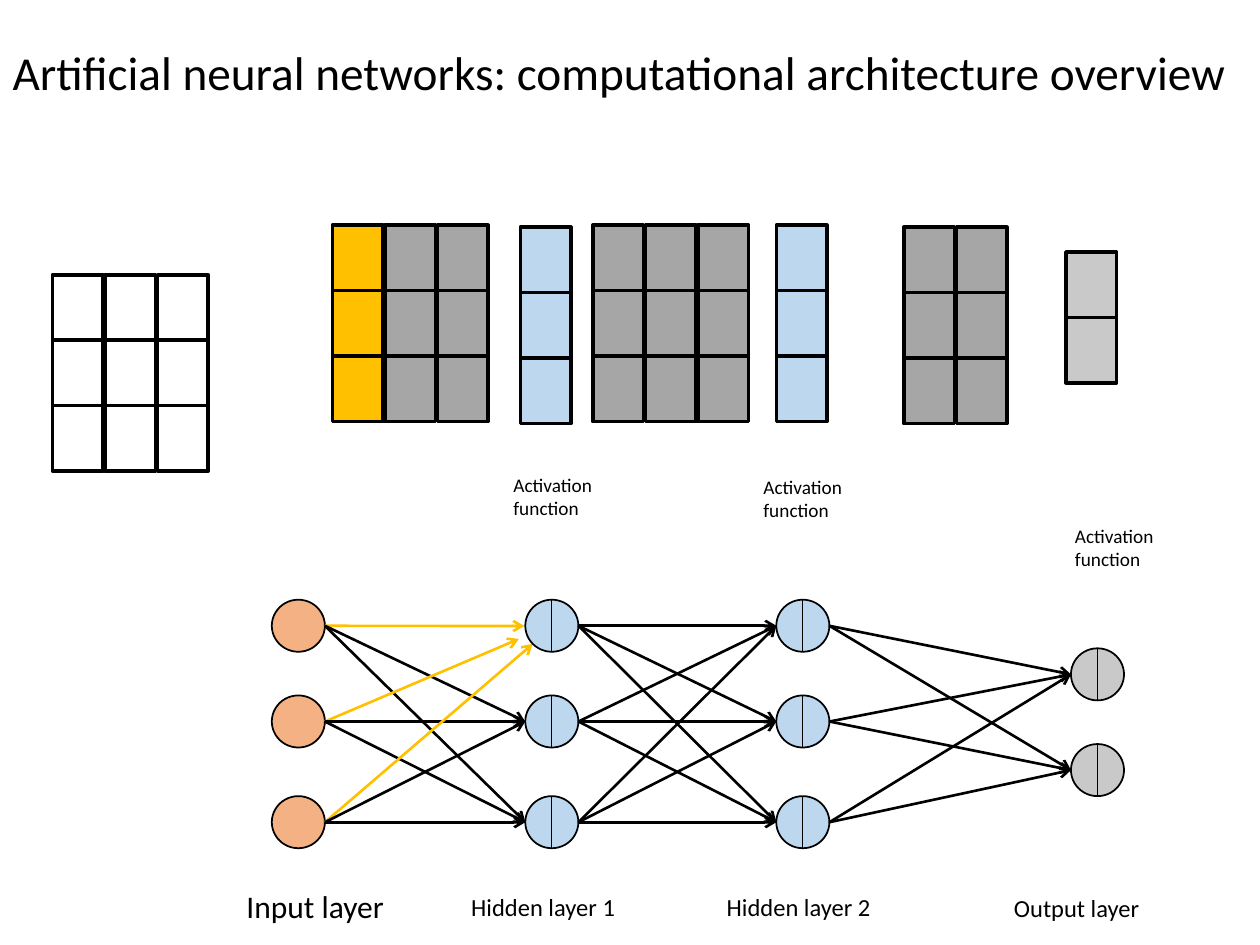
from lxml import etree
from pptx import Presentation
from pptx.dml.color import RGBColor
from pptx.enum.shapes import MSO_CONNECTOR, MSO_SHAPE
from pptx.enum.text import MSO_ANCHOR, MSO_AUTO_SIZE, PP_ALIGN
from pptx.oxml.ns import qn
from pptx.util import Cm, Pt

RECT, OVAL = MSO_SHAPE.RECTANGLE, MSO_SHAPE.OVAL
STRAIGHT = MSO_CONNECTOR.STRAIGHT
MIDDLE, TOP = MSO_ANCHOR.MIDDLE, MSO_ANCHOR.TOP
LEFT, NO_FIT = PP_ALIGN.LEFT, MSO_AUTO_SIZE.NONE

COLORS = {"black": "000000", "gold": "FFC000", "gray": "A6A6A6",
          "silver": "C9C9C9", "blue": "BDD7EE", "orange": "F4B183"}

TITLE = "Artificial neural networks: computational architecture overview"

# left, top, rows, fill of each column
MATRICES = [
    (1.06, 5.54, 3, [None, None, None]),
    (6.70, 4.54, 3, ["gold", "gray", "gray"]),
    (10.49, 4.58, 3, ["blue"]),
    (11.95, 4.54, 3, ["gray", "gray", "gray"]),
    (15.65, 4.54, 3, ["blue"]),
    (18.22, 4.58, 3, ["gray", "gray"]),
    (21.49, 5.08, 2, ["silver"]),
]
CELL_W, CELL_H, COL_PITCH = 1.02, 1.32, 1.06

# left, node tops, fill, split in halves
LAYERS = [
    (5.48, [12.09, 14.02, 16.05], "orange", False),
    (10.59, [12.09, 14.02, 16.05], "blue", True),
    (15.65, [12.09, 14.02, 16.05], "blue", True),
    (21.59, [13.07, 15.00], "silver", True),
]
NODE_W, NODE_H = 1.07, 1.05

# ends of the highlighted weights, by input node
GOLD_ENDS = [(10.57, 12.62), (10.46, 12.88), (10.74, 12.98)]

# text, left, top, width, height, size
LABELS = [
    ("Input layer", 4.72, 17.75, 3.7, 1.03, 18),
    ("Hidden layer 1", 9.25, 17.86, 3.7, 0.86, 14),
    ("Hidden layer 2", 14.40, 17.86, 3.7, 0.86, 14),
    ("Output layer", 20.19, 17.88, 3.7, 0.86, 14),
    ("Activation function", 10.10, 9.42, 3.12, 1.2, 11),
    ("Activation function", 15.14, 9.45, 3.12, 1.2, 11),
    ("Activation function", 21.42, 10.44, 3.12, 1.2, 11),
]


def rgb(name):
    return RGBColor.from_string(COLORS[name])


def add_box(s, kind, x, y, w, h, fill, weight):
    sp = s.shapes.add_shape(kind, Cm(x), Cm(y), Cm(w), Cm(h))
    sp.shadow.inherit = False
    if fill:
        sp.fill.solid()
        sp.fill.fore_color.rgb = rgb(fill)
    else:
        sp.fill.background()
    sp.line.color.rgb = rgb("black")
    sp.line.width = Pt(weight)


def add_line(s, start, end, color, weight, arrow=False):
    ln = s.shapes.add_connector(STRAIGHT, *(Cm(v) for v in (*start, *end)))
    ln.line.color.rgb = rgb(color)
    ln.line.width = Pt(weight)
    if arrow:
        etree.SubElement(ln.line._get_or_add_ln(), qn("a:tailEnd"), type="arrow")
    etree.SubElement(ln._element.spPr, qn("a:effectLst"))


def write(sp, text, size, anchor):
    tf = sp.text_frame
    for key, value in {"text": text, "word_wrap": True, "auto_size": NO_FIT,
                       "vertical_anchor": anchor}.items():
        setattr(tf, key, value)
    p = tf.paragraphs[0]
    p.alignment = LEFT
    font = p.runs[0].font
    for key, value in {"name": "Calibri", "size": Pt(size)}.items():
        setattr(font, key, value)
    font.color.rgb = rgb("black")
    return p


def add_matrix(s, left, top, rows, fills):
    for row in range(rows):
        for col, fill in enumerate(fills):
            add_box(s, RECT, left + col * COL_PITCH, top + row * CELL_H,
                    CELL_W, CELL_H, fill, 2)


def add_weights(s, i):
    x1, tops1 = LAYERS[i][0] + NODE_W, LAYERS[i][1]
    x2, tops2 = LAYERS[i + 1][:2]
    for a, top1 in enumerate(tops1):
        for b, top2 in enumerate(tops2):
            gold = i == 0 and b == 0
            end = GOLD_ENDS[a] if gold else (x2, top2 + NODE_H / 2)
            add_line(s, (x1, top1 + NODE_H / 2), end,
                     "gold" if gold else "black", 1.5, arrow=True)


def add_nodes(s, left, tops, fill, split):
    mid = left + NODE_W / 2
    for top in tops:
        add_box(s, OVAL, left, top, NODE_W, NODE_H, fill, 1)
        if split:
            add_line(s, (mid, top), (mid, top + NODE_H), "black", 0.5)


def main():
    prs = Presentation()
    prs.slide_width, prs.slide_height = Cm(25.4), Cm(19.05)
    s = prs.slides.add_slide(prs.slide_layouts[5])
    title = s.shapes.title
    for key, value in {"left": 0, "top": 0.76, "width": 25.4, "height": 1.5}.items():
        setattr(title, key, Cm(value))
    write(title, TITLE, 27, MIDDLE).line_spacing = 0.9
    for matrix in MATRICES:
        add_matrix(s, *matrix)
    for i, layer in enumerate(LAYERS):
        if i:
            add_weights(s, i - 1)
        add_nodes(s, *layer)
    for text, x, y, w, h, size in LABELS:
        write(s.shapes.add_textbox(Cm(x), Cm(y), Cm(w), Cm(h)), text, size, TOP)
    prs.save("out.pptx")


if __name__ == "__main__":
    main()
